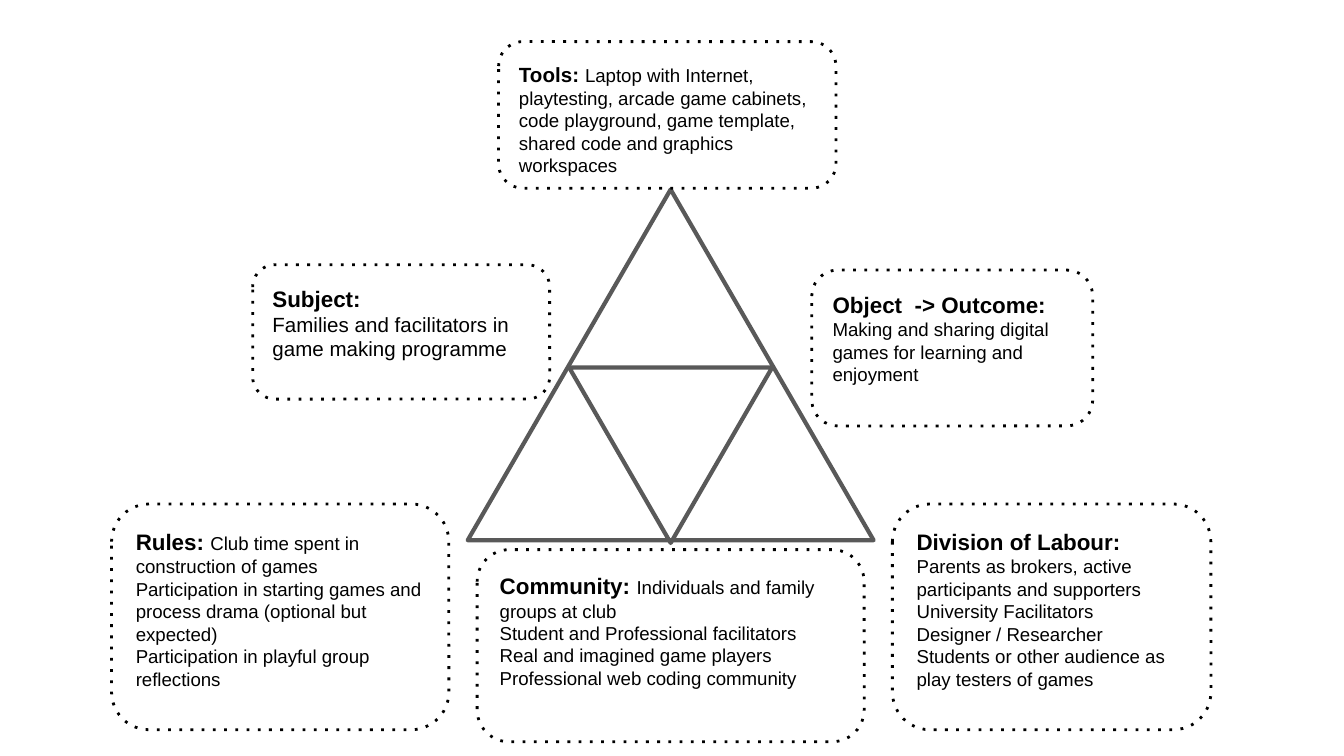
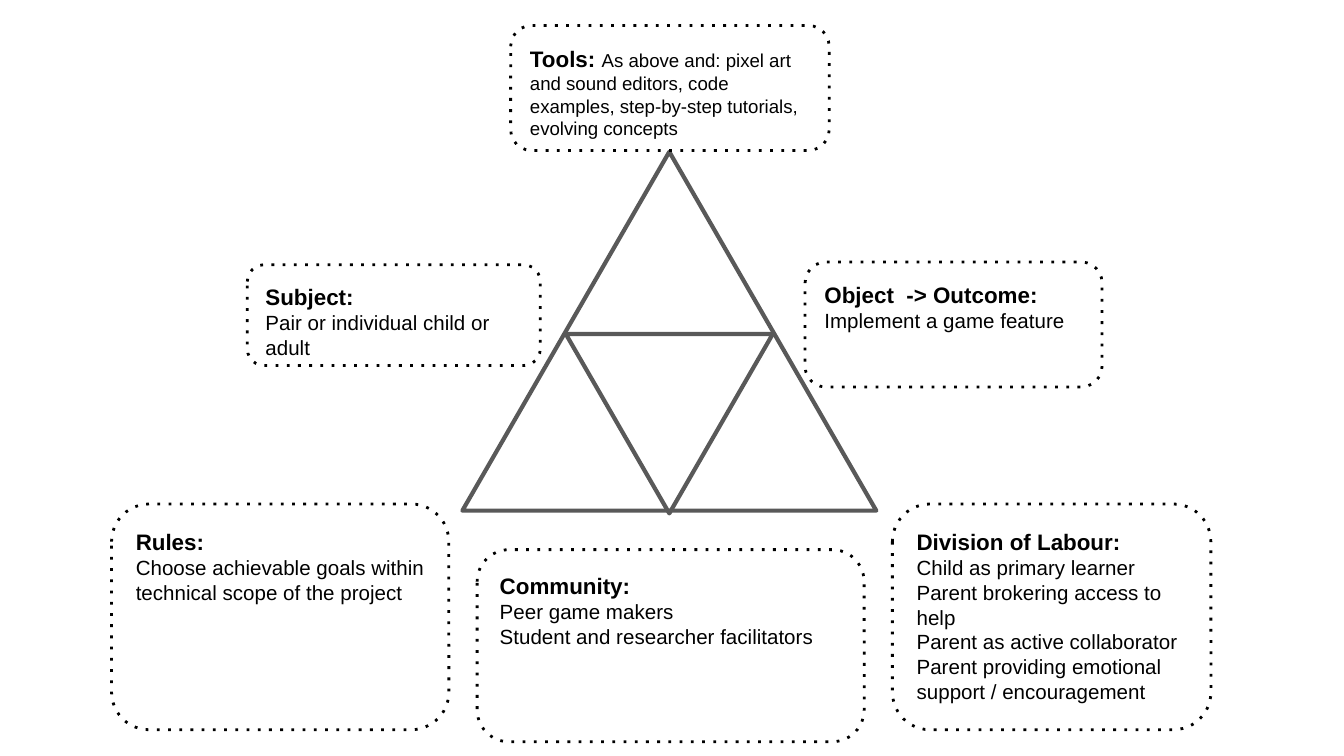
from lxml.etree import SubElement
from pptx import Presentation
from pptx.dml.color import RGBColor
from pptx.enum.dml import MSO_LINE
from pptx.enum.shapes import MSO_SHAPE as SHAPE
from pptx.enum.text import MSO_ANCHOR, PP_ALIGN
from pptx.oxml.ns import qn
from pptx.util import Inches, Pt

BLACK = RGBColor(0x00, 0x00, 0x00)
GREY = RGBColor(0x59, 0x59, 0x59)
FONT = "Arial"

SLIDE_W = Inches(10)
SLIDE_H = SLIDE_W * 9 // 16

# The grid has 100 columns, and rows as high as a column is wide.
CELL = SLIDE_W // 100
INSET = CELL

# Boxes that keep their place on every slide: column, row, columns, rows
RULES = (8.3, 37.5, 25.1, 16.8)
LABOUR = (66.4, 37.5, 23.7, 16.8)
COMMUNITY = (35.5, 40.9, 28.8, 14.3)

# Each node: box, heading, heading size, body size, body paragraphs.
# A heading that ends with a colon has a paragraph of its own.
SYSTEMS = [
    {
        "triangle": (34.8, 14.1, 30.2, 26.1),
        "nodes": [
            ((37.1, 3.1, 25.1, 10.9), "Tools: ", 11, 10,
             ["Laptop with Internet, playtesting, arcade game cabinets, code playground, "
              "game template, shared code and graphics workspaces"]),
            ((18.8, 19.7, 22.1, 10), "Subject:\n", 12, 11,
             ["Families and facilitators in game making programme"]),
            (RULES, "Rules: ", 12, 10,
             ["Club time spent in construction of games",
              "Participation in starting games and process drama (optional but expected)",
              "Participation in playful group reflections"]),
            (LABOUR, "Division of Labour:", 12, 10,
             ["Parents as brokers, active participants and supporters\n"
              "University Facilitators",
              "Designer / Researcher",
              "Students or other audience as play testers of games"]),
            (COMMUNITY, "Community: ", 12, 10,
             ["Individuals and family groups at club",
              "Student and Professional facilitators",
              "Real and imagined game players\nProfessional web coding community"]),
            ((60.4, 20.1, 20.9, 11.6), "Object  -> Outcome:", 12, 10,
             ["Making and sharing digital games for learning and enjoyment"]),
        ],
    },
    {
        "triangle": (34.4, 11.3, 30.8, 26.7),
        "nodes": [
            ((38, 1.9, 23.7, 9.3), "Tools: ", 12, 10,
             ["As above and: pixel art and sound editors, code examples, "
              "step-by-step tutorials, evolving concepts"]),
            ((18.4, 19.7, 21.8, 7.5), "Subject:\n", 12, 11,
             ["Pair or individual child or adult"]),
            (RULES, "Rules:", 12, 11,
             ["Choose achievable goals within technical scope of the project"]),
            (LABOUR, "Division of Labour:", 12, 11,
             ["Child as primary learner\nParent brokering access to help",
              "Parent as active collaborator "
              "Parent providing emotional support / encouragement"]),
            (COMMUNITY, "Community:", 12, 11,
             ["Peer game makers", "Student and researcher facilitators"]),
            ((59.9, 19.5, 22.1, 9.3), "Object  -> Outcome:", 12, 11,
             ["Implement a game feature"]),
        ],
    },
]


def add_outline(shapes, preset, box, color, width):
    """Add an unfilled preset shape on the grid."""
    s = shapes.add_shape(preset, *(round(n * CELL) for n in box))
    s.shadow.inherit = False
    s.fill.background()
    s.line.color.rgb = color
    s.line.width = Pt(width)
    return s


def add_triangle(slide, box):
    """Draw the large triangle and the half-size one upside down inside it."""
    x, y, w, h = box
    shapes = slide.shapes.add_group_shape().shapes
    inner = (x + w / 4, y + h / 2 + 0.2, w / 2, h / 2)
    for part, angle in ((box, 0), (inner, 180)):
        s = add_outline(shapes, SHAPE.ISOSCELES_TRIANGLE, part, GREY, 2.25)
        s.rotation = angle
        SubElement(s.element.spPr.find(qn("a:ln")), qn("a:round"))


def add_text(p, text, size, bold=False):
    """Add runs to the paragraph, with a line break at each newline."""
    for i, line in enumerate(text.split("\n")):
        if i:
            p.add_line_break()
        if line:
            r = p.add_run()
            r.text = line
            r.font.name = FONT
            r.font.size = Pt(size)
            r.font.bold = bold
            r.font.color.rgb = BLACK


def add_node(slide, box, heading, heading_size, body_size, body):
    """Draw a dotted box with a bold heading and its body paragraphs."""
    s = add_outline(slide.shapes, SHAPE.ROUNDED_RECTANGLE, box, BLACK, 1.5)
    s.line.dash_style = MSO_LINE.ROUND_DOT
    s.element.spPr.find(qn("a:ln")).find(qn("a:prstDash")).set("val", "dot")

    tf = s.text_frame
    tf.word_wrap = True
    tf.vertical_anchor = MSO_ANCHOR.TOP
    tf.margin_left = tf.margin_top = tf.margin_right = tf.margin_bottom = INSET
    p = tf.paragraphs[0]
    add_text(p, heading, heading_size, bold=True)
    for i, text in enumerate(body):
        if i or heading.endswith(":"):
            p = tf.add_paragraph()
        add_text(p, text, body_size)
    for p in tf.paragraphs:
        p.alignment = PP_ALIGN.LEFT


def add_activity_system(prs, system):
    slide = prs.slides.add_slide(prs.slide_layouts[6])
    add_triangle(slide, system["triangle"])
    for node in system["nodes"]:
        add_node(slide, *node)


def main():
    prs = Presentation()
    prs.slide_width, prs.slide_height = SLIDE_W, SLIDE_H
    for system in SYSTEMS:
        add_activity_system(prs, system)
    prs.save("out.pptx")


if __name__ == "__main__":
    main()
